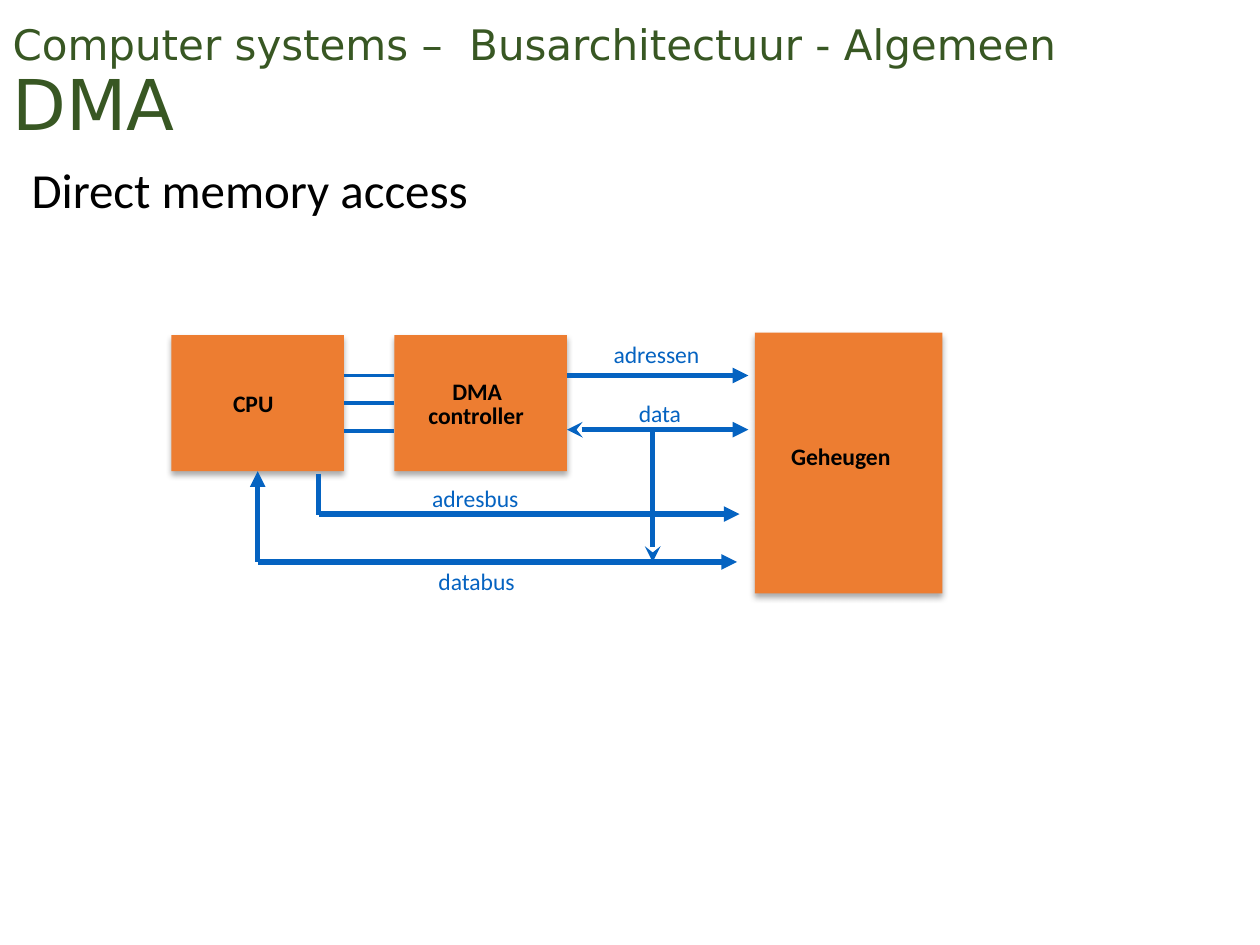
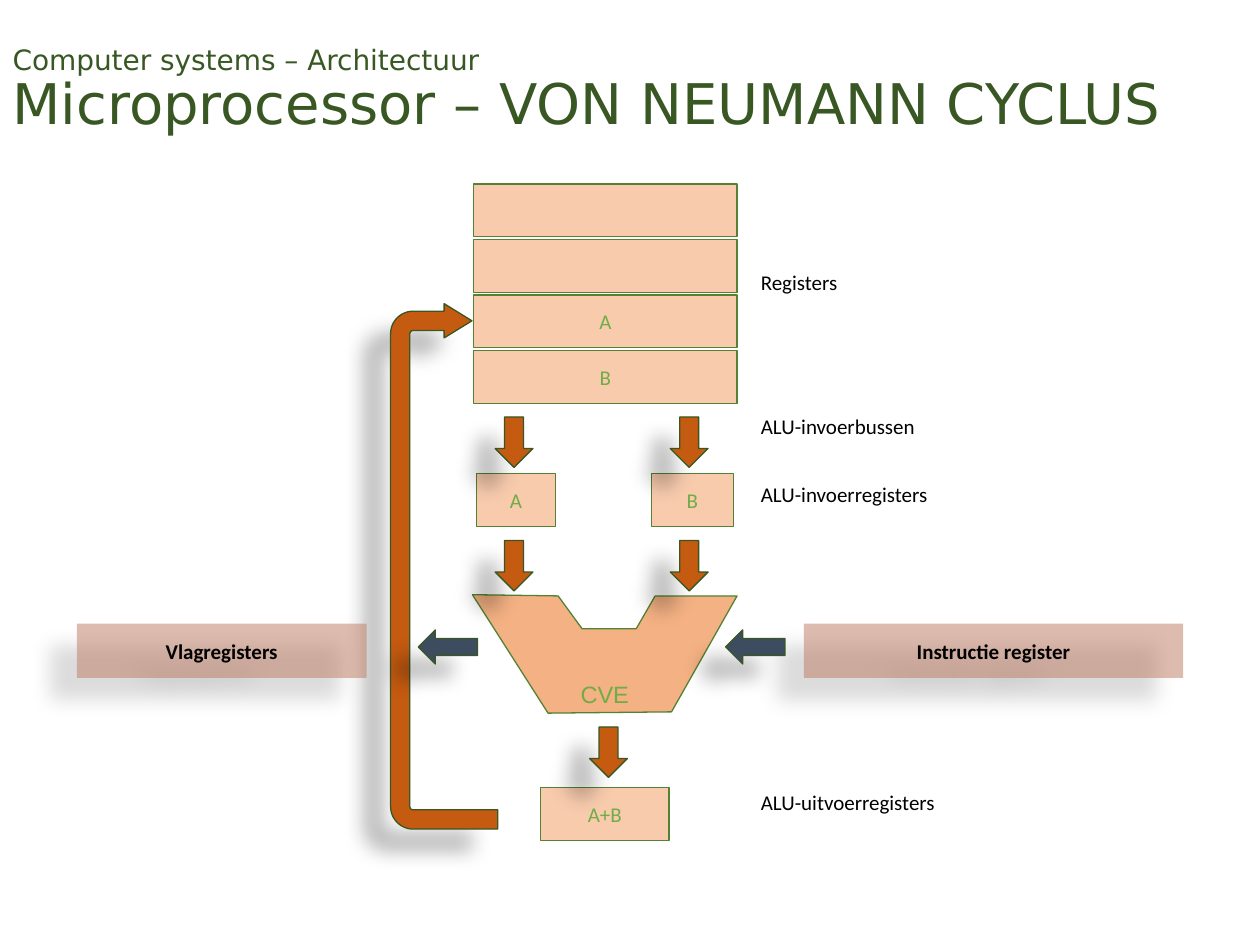
import dataclasses
import itertools

import lxml.etree
import pptx
import pptx.dml.color
import pptx.enum.shapes
import pptx.enum.text
import pptx.oxml.ns
import pptx.util

SHAPE = pptx.enum.shapes.MSO_SHAPE
ALIGN = pptx.enum.text.PP_ALIGN
ANCHOR = pptx.enum.text.MSO_ANCHOR
FIT = pptx.enum.text.MSO_AUTO_SIZE
TOP, LEFT, BOTTOM, RIGHT = range(4)

COLUMNS, ROWS = 100, 75
CELL = pptx.util.Inches(0.1)

BLACK = "000000"
TITLE_GREEN = "385723"
TEXT_GREEN = "70AD47"
EDGE_GREEN = "548235"
BUS_BLUE = "0563C1"
UNIT_ORANGE = "ED7D31"
REGISTER_PEACH = "F8CBAD"
ALU_ORANGE = "F4B183"
FLOW_BROWN = "C55A11"
CONTROL_SLATE = "3D4C5F"
CONTROL_ROSE = "BE7960"

SOFT_SHADOW = {"alpha": 32, "blur": 3.5, "dist": 2.2, "angle": 90}
DEEP_SHADOW = {"alpha": 28, "blur": 11.8, "dist": 19.7, "angle": 141}

TITLE_FONT = {"name": "DejaVu Sans", "color": TITLE_GREEN}
BODY_FONT = {"name": "Calibri", "size": 28, "color": BLACK}
BUS_FONT = {"name": "Calibri", "size": 13.5, "color": BUS_BLUE}
UNIT_FONT = BUS_FONT | {"color": BLACK, "bold": True}
REGISTER_FONT = {"name": "Calibri", "size": 12, "color": TEXT_GREEN}
CAPTION_FONT = REGISTER_FONT | {"color": BLACK}
CONTROL_FONT = CAPTION_FONT | {"bold": True}
ALU_FONT = {"name": "Arial", "size": 13.5, "color": TEXT_GREEN}

PLAIN_FRAME = {"margin_left": 0, "margin_top": 0, "margin_right": 0, "margin_bottom": 0}
TIGHT_FRAME = {
    "margin_left": pptx.util.Inches(0.07),
    "margin_right": pptx.util.Inches(0.07),
    "margin_top": pptx.util.Inches(0.04),
    "margin_bottom": pptx.util.Inches(0.04),
}
LABEL_FRAME = {"word_wrap": False, "auto_size": FIT.SHAPE_TO_FIT_TEXT}
TITLE_FRAME = {
    "word_wrap": True,
    "auto_size": FIT.NONE,
    "vertical_anchor": ANCHOR.MIDDLE,
}


@dataclasses.dataclass
class Box:
    left: float
    top: float
    width: float
    height: float

    def area(self, left, top, width, height):
        return Box(self.left + left, self.top + top, width, height)

    def point(self, column, row):
        return cells(self.left + column), cells(self.top + row)

    def lengths(self):
        return [cells(value) for value in dataclasses.astuple(self)]


def cells(count):
    return pptx.util.Emu(round(count * CELL))


def colour(value):
    return pptx.dml.color.RGBColor.from_string(value)


def apply(target, values):
    for name, value in values.items():
        setattr(target, name, value)


def add_xml(parent, tag, **attributes):
    return lxml.etree.SubElement(parent, pptx.oxml.ns.qn(tag), attributes)


def style_font(font, style):
    for name, value in style.items():
        if name == "color":
            font.color.rgb = colour(value)
        elif name == "size":
            font.size = pptx.util.Pt(value)
        else:
            setattr(font, name, value)


def write(para, text, style):
    span = para.add_run()
    span.text = text
    style_font(span.font, style)


def finish(shape, fill, edge=None, shadow=None, alpha=None):
    shape.fill.solid()
    shape.fill.fore_color.rgb = colour(fill)
    if alpha:
        paint = next(shape.element.spPr.iter(pptx.oxml.ns.qn("a:srgbClr")))
        add_xml(paint, "a:alpha", val=str(alpha * 1000))
    if edge:
        shape.line.color.rgb = colour(edge)
        shape.line.width = pptx.util.Pt(0.75)
    else:
        shape.line.fill.background()
    shape.shadow.inherit = False
    if shadow:
        effects = shape.element.spPr.find(pptx.oxml.ns.qn("a:effectLst"))
        outer = add_xml(
            effects,
            "a:outerShdw",
            blurRad=str(pptx.util.Pt(shadow["blur"])),
            dist=str(pptx.util.Pt(shadow["dist"])),
            dir=str(shadow["angle"] * 60000),
            algn="ctr",
            rotWithShape="0",
        )
        tint = add_xml(outer, "a:srgbClr", val=BLACK)
        add_xml(tint, "a:alpha", val=str(shadow["alpha"] * 1000))


def fill_text(shape, text, style, frame, alignment=ALIGN.CENTER):
    apply(shape.text_frame, frame)
    para = shape.text_frame.paragraphs[0]
    para.alignment = alignment
    write(para, text, style)


def add_block(page, kind, box, **look):
    shape = page.shapes.add_shape(kind, *box.lengths())
    finish(shape, **look)
    return shape


def add_label(page, box, text, style, frame):
    label = page.shapes.add_textbox(*box.lengths())
    fill_text(label, text, style, frame | LABEL_FRAME, ALIGN.LEFT)


def add_wire(page, begin, end, width=3, head=None, tail=None):
    wire = page.shapes.add_connector(
        pptx.enum.shapes.MSO_CONNECTOR.STRAIGHT, *begin, *end
    )
    wire.line.color.rgb = colour(BUS_BLUE)
    wire.line.width = pptx.util.Pt(width)
    properties = wire.element.spPr
    line = properties.find(pptx.oxml.ns.qn("a:ln"))
    for tag, kind in (("a:headEnd", head), ("a:tailEnd", tail)):
        if kind:
            add_xml(line, tag, type=kind, w="med", len="med")
    add_xml(properties, "a:effectLst")
    return wire


def place(placeholder, box):
    names = ("left", "top", "width", "height")
    apply(placeholder, dict(zip(names, box.lengths())))


def add_title(page, box, course, course_size, topic, topic_size):
    title = page.shapes.title
    place(title, box)
    apply(title.text_frame, TITLE_FRAME)
    para = title.text_frame.paragraphs[0]
    apply(para, {"alignment": ALIGN.LEFT, "line_spacing": 0.9})
    write(para, course, TITLE_FONT | {"size": course_size})
    para.add_line_break()
    write(para, topic, TITLE_FONT | {"size": topic_size})


def add_body(page, box, text):
    body = page.placeholders[1]
    place(body, box)
    body.text_frame.auto_size = FIT.NONE
    para = body.text_frame.paragraphs[0]
    apply(para, {"line_spacing": 0.9, "space_before": pptx.util.Pt(10)})
    write(para, text, BODY_FONT)
    properties = para._p.get_or_add_pPr()
    for name in ("marL", "indent"):
        properties.set(name, "0")
    add_xml(properties, "a:buNone")


def add_bus_diagram(page, box):
    units = [(0, 0.2, 13.7, 10.8), (17.7, 0.2, 13.7, 10.8), (46.3, 0, 14.9, 20.7)]
    cpu, controller, memory = [
        add_block(
            page, SHAPE.RECTANGLE, box.area(*unit), fill=UNIT_ORANGE, shadow=SOFT_SHADOW
        )
        for unit in units
    ]

    links = [
        add_wire(page, box.point(13.7, row), box.point(17.7, row), 2.25)
        for row in (3.4, 5.6, 7.8)
    ]
    links[1].begin_connect(cpu, RIGHT)
    links[1].end_connect(controller, LEFT)

    wires = [
        ((31.4, 3.4), (45.8, 3.4), None, "triangle"),
        ((31.4, 7.7), (45.8, 7.7), "stealth", "triangle"),
        ((38.2, 7.9), (38.2, 18.2), None, "stealth"),
        ((11.7, 11.2), (11.7, 14.5), None, None),
        ((11.7, 14.4), (45.1, 14.4), None, "triangle"),
        ((6.85, 18.2), (44.9, 18.2), None, "triangle"),
    ]
    for begin, end, head, tail in wires:
        add_wire(page, box.point(*begin), box.point(*end), head=head, tail=tail)
    riser = add_wire(page, box.point(6.85, 18.2), box.point(6.85, 11), tail="triangle")
    riser.end_connect(cpu, BOTTOM)

    labels = [
        ("CPU", 4.9, 4.5, 3.2, UNIT_FONT),
        ("DMA", 22.3, 3.5, 4, UNIT_FONT),
        ("controller", 20.4, 5.4, 7.7, UNIT_FONT),
        ("Geheugen", 49.2, 8.7, 8, UNIT_FONT),
        ("adressen", 35.1, 0.6, 6.9, BUS_FONT),
        ("data", 37.1, 5.3, 3.4, BUS_FONT),
        ("adresbus", 20.7, 12, 7, BUS_FONT),
        ("databus", 21.2, 18.6, 6.1, BUS_FONT),
    ]
    for text, left, top, width, style in labels:
        add_label(page, box.area(left, top, width, 2.3), text, style, PLAIN_FRAME)


def add_registers(page, box):
    stack = [
        (text, 31.5, 4.4 * index, 20.9) for index, text in enumerate(("", "", "A", "B"))
    ]
    singles = [("A", 31.7, 23, 6.3), ("B", 45.6, 23, 6.5), ("A+B", 36.8, 47.9, 10.2)]
    for text, left, top, width in stack + singles:
        register = add_block(
            page,
            SHAPE.RECTANGLE,
            box.area(left, top, width, 4.2),
            fill=REGISTER_PEACH,
            edge=EDGE_GREEN,
        )
        if text:
            frame = TIGHT_FRAME | {"vertical_anchor": ANCHOR.MIDDLE}
            fill_text(register, text, REGISTER_FONT, frame)


def add_alu(page, box):
    outline = [
        (31.4, 32.6), (38.2, 32.7), (40.1, 35.3), (44.4, 35.3),
        (45.9, 32.7), (52.4, 32.7), (47.2, 41.9), (37.4, 42),
    ]
    start, *corners = [box.point(*corner) for corner in outline]
    builder = page.shapes.build_freeform(*start)
    builder.add_line_segments(corners, close=True)
    alu = builder.convert_to_shape()
    finish(alu, ALU_ORANGE, EDGE_GREEN)
    fill_text(alu, "CVE", ALU_FONT, TIGHT_FRAME | {"vertical_anchor": ANCHOR.BOTTOM})


def add_flow(page, box):
    look = {"fill": FLOW_BROWN, "edge": TITLE_GREEN, "shadow": DEEP_SHADOW}
    for left, top in [*itertools.product((33.2, 47.1), (18.5, 28.3)), (40.7, 43.1)]:
        add_block(page, SHAPE.DOWN_ARROW, box.area(left, top, 3, 4), **look)
    loop = add_block(page, SHAPE.U_TURN_ARROW, box.area(8.3, 26.1, 41.7, 8.5), **look)
    loop.rotation = 270
    for index, value in enumerate((0.18, 0.16, 0.26, 0.21, 0.76)):
        loop.adjustments[index] = value


def add_control(page, box):
    for text, left, width in (("Vlagregisters", 0, 23), ("Instructie register", 57.7, 30.1)):
        register = add_block(
            page,
            SHAPE.RECTANGLE,
            box.area(left, 34.9, width, 4.3),
            fill=CONTROL_ROSE,
            shadow=DEEP_SHADOW,
            alpha=50,
        )
        fill_text(register, text, CONTROL_FONT, {"vertical_anchor": ANCHOR.MIDDLE})
    for left in (51.5, 27.1):
        add_block(
            page,
            SHAPE.LEFT_ARROW,
            box.area(left, 35.4, 4.7, 2.7),
            fill=CONTROL_SLATE,
            edge=TITLE_GREEN,
            shadow=DEEP_SHADOW,
        )


def add_captions(page, box):
    captions = [
        ("Registers", 6.3, 13.7),
        ("ALU-invoerbussen", 17.7, 24.1),
        ("ALU-invoerregisters", 23.1, 25.8),
        ("ALU-uitvoerregisters", 47.6, 26.8),
    ]
    for text, top, width in captions:
        add_label(page, box.area(53.3, top, width, 4.9), text, CAPTION_FONT, {})


def main():
    deck = pptx.Presentation()
    apply(deck, {"slide_width": cells(COLUMNS), "slide_height": cells(ROWS)})

    page = deck.slides.add_slide(deck.slide_layouts[1])
    course = "Computer systems –  Busarchitectuur - Algemeen"
    add_title(page, Box(0, 0, COLUMNS, 13.5), course, 24, "DMA", 40)
    add_body(page, Box(1.5, 12.7, 86.2, 7.4), "Direct memory access")
    add_bus_diagram(page, Box(13.6, 26.4, 61.2, 20.7))

    page = deck.slides.add_slide(deck.slide_layouts[5])
    course = "Computer systems – Architectuur"
    topic = "Microprocessor – VON NEUMANN CYCLUS"
    add_title(page, Box(0, 0, COLUMNS, 14.5), course, 16, topic, 32)
    cycle = Box(6.1, 14.6, 87.8, 52.1)
    for add_region in (add_alu, add_registers, add_flow, add_control, add_captions):
        add_region(page, cycle)

    deck.save("out.pptx")


if __name__ == "__main__":
    main()
